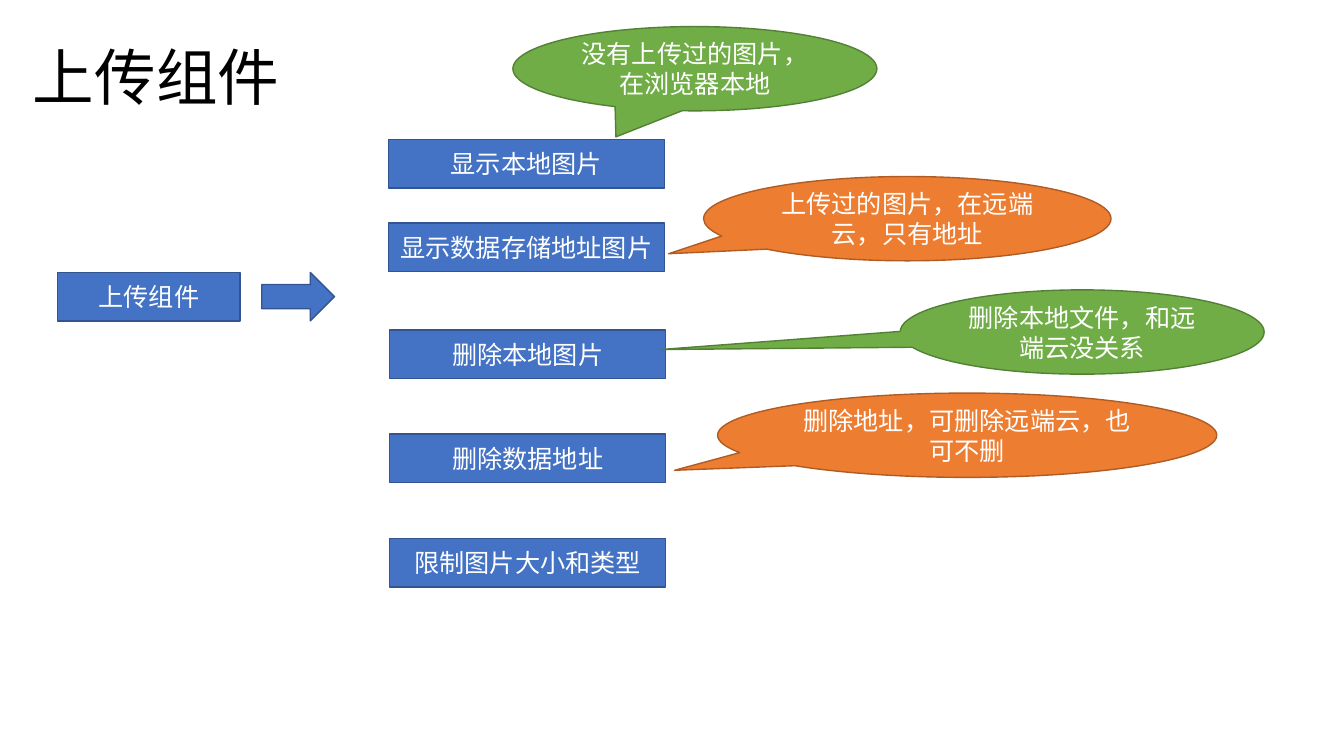
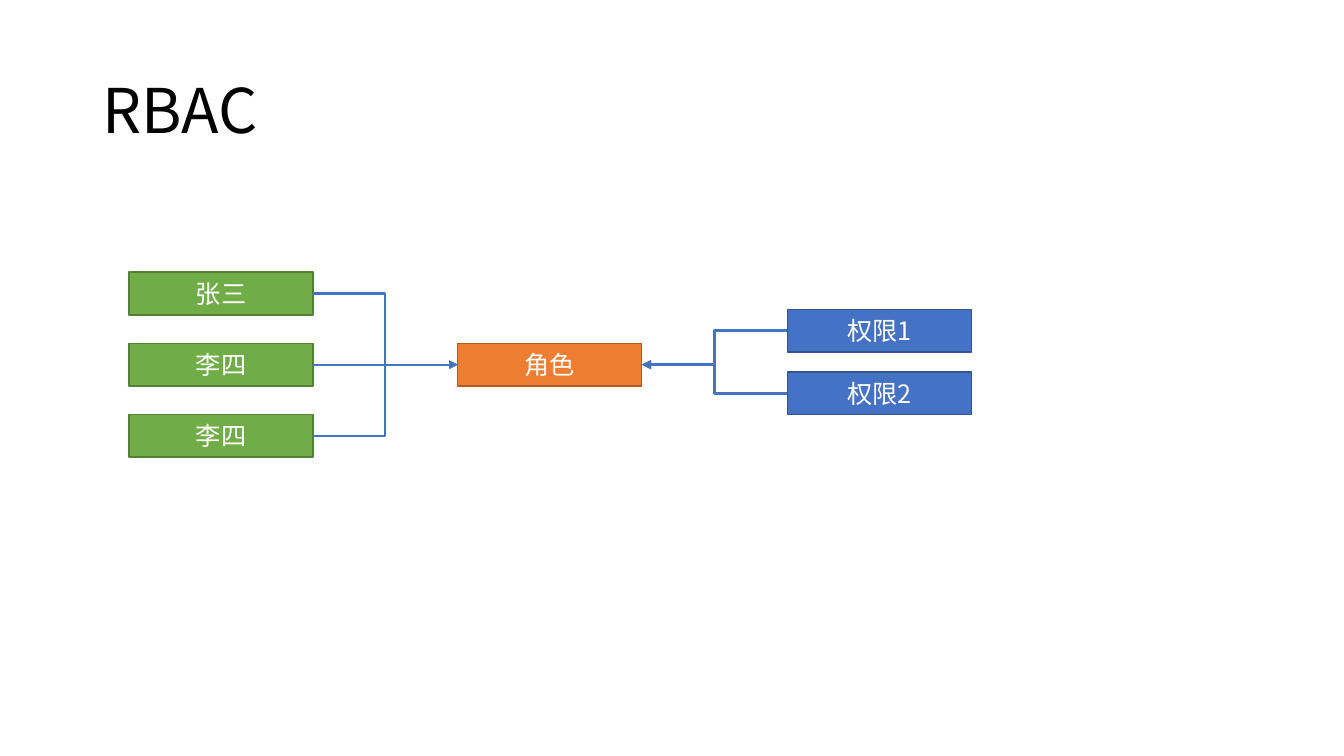
from dataclasses import dataclass
from lxml import etree
from pptx import Presentation
from pptx.dml.color import RGBColor
from pptx.enum import shapes, text
from pptx.oxml import ns
from pptx.util import Pt


@dataclass(frozen=True)
class Theme:
    font: str = "Noto Sans CJK SC"
    title_size: int = 44
    body_size: int = 18
    ink: str = "000000"
    paper: str = "FFFFFF"
    blue: tuple = ("4472C4", "325491")
    green: tuple = ("70AD47", "538035")
    orange: tuple = ("ED7D31", "AF5C24")


theme = Theme()
kinds = shapes.MSO_SHAPE


def write(frame, words, size, color, align):
    frame.word_wrap = True
    frame.vertical_anchor = text.MSO_ANCHOR.MIDDLE
    paragraph = frame.paragraphs[0]
    paragraph.alignment = align
    run = paragraph.add_run()
    run.text = words
    run.font.size = Pt(size)
    run.font.name = theme.font
    run.font.color.rgb = RGBColor.from_string(color)
    etree.SubElement(run.font._element, ns.qn("a:ea"), typeface=theme.font)
    return paragraph


def add_block(slide, kind, left, top, width, height, colors, words=""):
    block = slide.shapes.add_shape(kind, Pt(left), Pt(top), Pt(width), Pt(height))
    block.shadow.inherit = False
    fill, outline = colors
    block.fill.solid()
    block.fill.fore_color.rgb = RGBColor.from_string(fill)
    block.line.color.rgb = RGBColor.from_string(outline)
    block.line.width = Pt(1)
    if words:
        write(block.text_frame, words, theme.body_size, theme.paper, text.PP_ALIGN.CENTER)
    return block


deck = Presentation()
deck.slide_width, deck.slide_height = Pt(960), Pt(540)
slides = []
for heading, left, top in [("上传组件", 16.5, 5), ("RBAC", 66, 28.75)]:
    slide = deck.slides.add_slide(deck.slide_layouts[6])
    title = slide.shapes.add_textbox(Pt(left), Pt(top), Pt(828), Pt(104.4))
    line = write(title.text_frame, heading, theme.title_size, theme.ink, text.PP_ALIGN.LEFT)
    line.line_spacing = 0.9
    slides.append(slide)
upload, rbac = slides

add_block(upload, kinds.RECTANGLE, 41, 194.6, 130.6, 34.6, theme.blue, "上传组件")
add_block(upload, kinds.RIGHT_ARROW, 187, 194.6, 52, 34.6, theme.blue)

features = [
    ("显示本地图片", 277.3, 99.6),
    ("显示数据存储地址图片", 277.3, 159.2),
    ("删除本地图片", 278.3, 235.7),
    ("删除数据地址", 278.3, 310),
    ("限制图片大小和类型", 278.3, 384.6),
]
for words, left, top in features:
    add_block(upload, kinds.RECTANGLE, left, top, 197.2, 34.6, theme.blue, words)

remarks = [
    ("没有上传过的图片，在浏览器本地", 366.4, 19, 260, theme.green, (-0.217, 0.809)),
    ("上传过的图片，在远端云，只有地址", 502.6, 126.1, 291, theme.orange, (-0.586, 0.416)),
    ("删除本地文件，和远端云没关系", 643, 207.1, 260, theme.green, (-1.159, 0.208)),
    ("删除地址，可删除远端云，也可不删", 512.6, 280.8, 356.6, theme.orange, (-0.586, 0.416)),
]
for words, left, top, width, colors, tip in remarks:
    callout = add_block(upload, kinds.OVAL_CALLOUT, left, top, width, 60.2, colors, words)
    callout.adjustments[0], callout.adjustments[1] = tip

node_width, node_height = 131.4, 30.6
user_top, user_pitch = 194.4, 50.8
role = add_block(rbac, kinds.RECTANGLE, 327, user_top + user_pitch,
                 node_width, node_height, theme.orange, "角色")
users = [
    add_block(rbac, kinds.RECTANGLE, 92.2, user_top + i * user_pitch,
              node_width, node_height, theme.green, name)
    for i, name in enumerate(["张三", "李四", "李四"])
]
permissions = [
    add_block(rbac, kinds.RECTANGLE, 562.4, 221 + i * 44.7,
              node_width, node_height, theme.blue, name)
    for i, name in enumerate(["权限1", "权限2"])
]

left_site, right_site = 1, 3
links = [(user, right_site, left_site, 1.5) for user in users]
links += [(permission, left_site, right_site, 2.25) for permission in permissions]
role_middle = role.top + role.height // 2
for node, node_site, role_site, weight in links:
    start = node.left + (node.width if node_site == right_site else 0)
    end = role.left + (role.width if role_site == right_site else 0)
    link = rbac.shapes.add_connector(shapes.MSO_CONNECTOR.ELBOW, start,
                                     node.top + node.height // 2, end, role_middle)
    link.begin_connect(node, node_site)
    link.end_connect(role, role_site)
    link.line.color.rgb = RGBColor.from_string(theme.blue[0])
    link.line.width = Pt(weight)
    etree.SubElement(link.line._get_or_add_ln(), ns.qn("a:tailEnd"), type="triangle")
    etree.SubElement(link._element.spPr, ns.qn("a:effectLst"))

deck.save("out.pptx")
